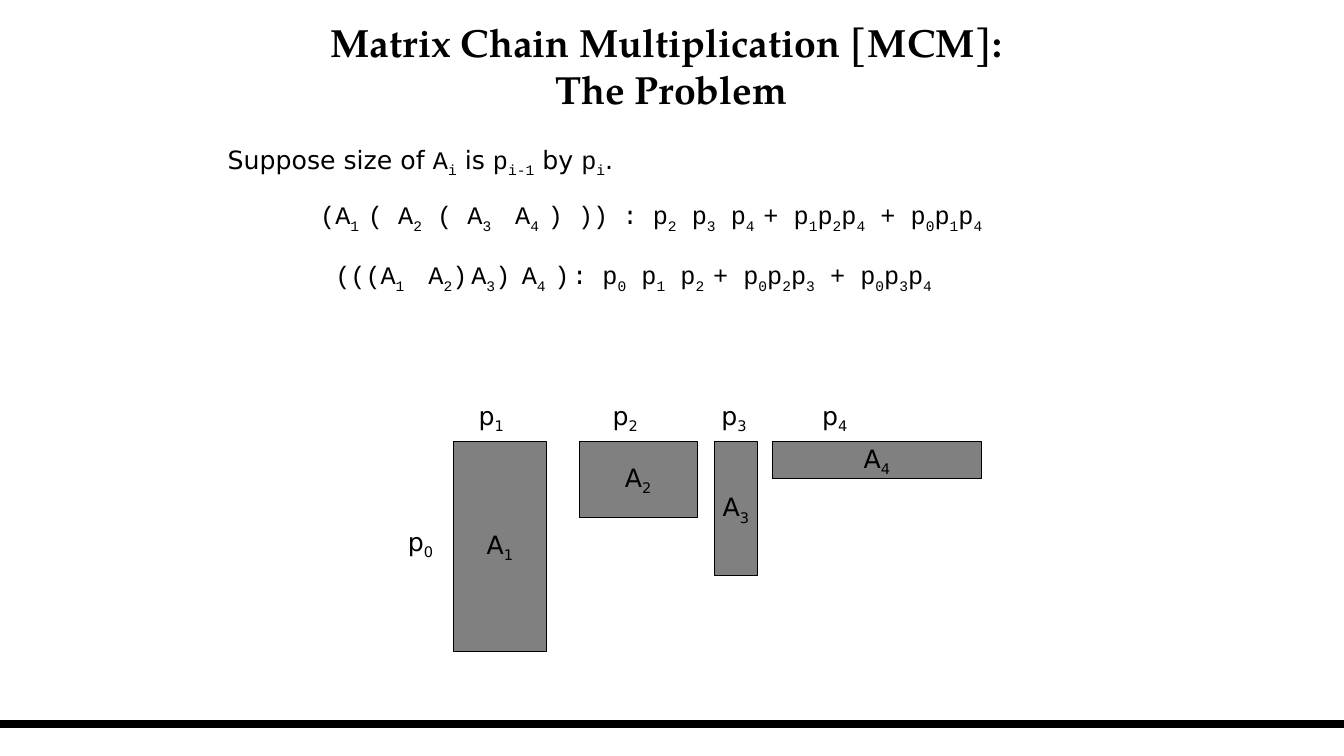
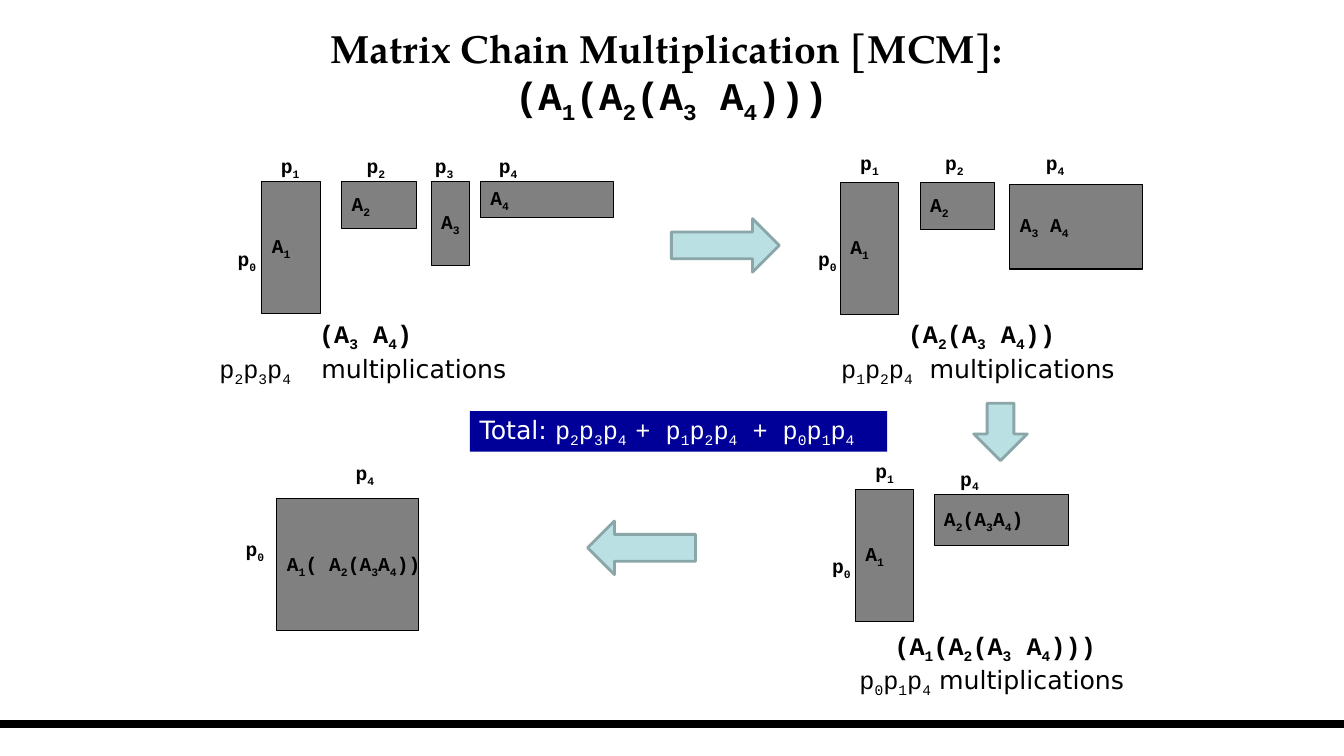
from lxml.etree import SubElement
from pptx import Presentation
from pptx.dml.color import RGBColor
from pptx.enum.shapes import MSO_CONNECTOR, MSO_SHAPE as SHAPE
from pptx.enum.text import MSO_ANCHOR as ANCHOR, MSO_AUTO_SIZE, PP_ALIGN as ALIGN
from pptx.oxml.ns import qn
from pptx.util import Cm, Pt

WIDTH, HEIGHT = 33.87, 19.05
SERIF, SANS, MONO = "TeX Gyre Pagella", "DejaVu Sans", "Courier New"
BLACK, WHITE, GRAY, NAVY = "000000", "FFFFFF", "808080", "000099"
ARROW_FILL, ARROW_LINE = "BBE0E3", "8AA6A8"
TITLE = "Matrix Chain Multiplication [MCM]: "


def rgb(value):
    return RGBColor.from_string(value)


def add_runs(p, markup, font=None):
    """Add text in which _{...} marks a subscript."""
    def add(text, sub=False):
        if text:
            r = p.add_run()
            r.text = text
            if font:
                r.font.name = font
            if sub:
                r.font.size = None
                r._r.get_or_add_rPr().set("baseline", "-25000")

    first, *rest = markup.split("_{")
    add(first)
    for part in rest:
        sub, _, text = part.partition("}")
        add(sub, sub=True)
        add(text)


def style(p, size, font, color=BLACK, bold=False, align=ALIGN.LEFT):
    p.alignment = align
    p.font.size = Pt(size)
    p.font.name = font
    p.font.bold = bold
    p.font.color.rgb = rgb(color)


def set_tabs(p, *stops):
    tabs = SubElement(p._p.get_or_add_pPr(), qn("a:tabLst"))
    for stop in stops:
        SubElement(tabs, qn("a:tab"), pos=str(Cm(stop)), algn="l")


def add_text(s, x, y, w, h, wrap=False):
    tf = s.shapes.add_textbox(Cm(x), Cm(y), Cm(w), Cm(h)).text_frame
    tf.word_wrap = wrap
    return tf


def add_box(s, kind, x, y, w, h, fill, line=None, width=0.75):
    sp = s.shapes.add_shape(kind, Cm(x), Cm(y), Cm(w), Cm(h))
    sp.shadow.inherit = False
    sp.fill.solid()
    sp.fill.fore_color.rgb = rgb(fill)
    if line:
        sp.line.color.rgb = rgb(line)
        sp.line.width = Pt(width)
    else:
        sp.line.fill.background()
    sp.text_frame.word_wrap = False
    return sp


def add_band(s, layout):
    """Draw the bottom band and hand it to the layout."""
    y = Cm(18.24)
    band = s.shapes.add_connector(MSO_CONNECTOR.STRAIGHT, 0, y, Cm(WIDTH), y)
    band.line.color.rgb = rgb(BLACK)
    band.line.width = Pt(6)
    SubElement(band.element.spPr, qn("a:effectLst"))
    layout.shapes.element.append(band.element)


def add_title(s, y, second_line, font=None):
    title = s.shapes.title
    title.left, title.top, title.width, title.height = Cm(5.49), Cm(y), Cm(22.86), Cm(1.78)
    tf = title.text_frame
    tf.auto_size = MSO_AUTO_SIZE.NONE
    tf.vertical_anchor = ANCHOR.MIDDLE
    p = tf.paragraphs[0]
    style(p, 28, SERIF, bold=True, align=ALIGN.CENTER)
    add_runs(p, TITLE)
    p.add_line_break()
    add_runs(p, second_line, font)


def add_chain(s, x, y, matrices, labels, size=14, font=MONO, bold=True, align=ALIGN.LEFT):
    """Place matrices (name, dx, dy, w, h) and labels (index, dx, dy) from x, y."""
    for name, dx, dy, w, h in matrices:
        sp = add_box(s, SHAPE.RECTANGLE, x + dx, y + dy, w, h, GRAY, BLACK)
        p = sp.text_frame.paragraphs[0]
        style(p, size, font, bold=bold, align=align)
        add_runs(p, name)
    for index, dx, dy in labels:
        p = add_text(s, x + dx, y + dy, size * 0.07, size * 0.06).paragraphs[0]
        style(p, size, font, bold=bold)
        add_runs(p, f"p_{{{index}}}")


def add_caption(s, x, y, w, product, cost, gap, tab=None):
    tf = add_text(s, x, y, w, 1.8, wrap=True)
    p = tf.paragraphs[0]
    style(p, 18, MONO, bold=True, align=ALIGN.CENTER)
    add_runs(p, product)
    p = tf.add_paragraph()
    if tab:
        set_tabs(p, tab)
    style(p, 18, MONO)
    add_runs(p, cost)
    add_runs(p, gap + "multiplications", SANS)


def add_sizes(s, x, y):
    p = add_text(s, x, y, 10.64, 1.02).paragraphs[0]
    style(p, 18, SANS)
    for text, font in (("Suppose size of ", None), ("A_{i}", MONO), (" is ", None),
                       ("p_{i-1}", MONO), (" by ", None), ("p_{i}", MONO), (".", None)):
        add_runs(p, text, font)


def add_costs(s, x, y):
    tf = add_text(s, x, y, 19.05, 2.64, wrap=True)
    rows = (
        ("(A_{1 }( A_{2} ( A_{3 } A_{4 }) ))\t: p_{2} p_{3} p_{4 }+ p_{1}p_{2}p_{4} + p_{0}p_{1}p_{4}",
         0, (8.08,)),
        ("(((A_{1 } A_{2})\tA_{3})\tA_{4 })\t: p_{0} p_{1} p_{2 }+ p_{0}p_{2}p_{3} + p_{0}p_{3}p_{4}",
         0.38, (4.47, 6.06, 8.08)),
    )
    for i, (text, indent, stops) in enumerate(rows):
        p = tf.add_paragraph() if i else tf.paragraphs[0]
        set_tabs(p, *stops)
        p._p.get_or_add_pPr().set("indent", str(Cm(indent)))
        style(p, 18, MONO)
        p.line_spacing = 1.3
        p.space_before = Pt(11)
        add_runs(p, text)


def add_total(s, x, y):
    sp = add_box(s, SHAPE.RECTANGLE, x, y, 10.52, 1.02, NAVY)
    p = sp.text_frame.paragraphs[0]
    style(p, 18, MONO, WHITE)
    add_runs(p, "Total: ", SANS)
    add_runs(p, "p_{2}p_{3}p_{4 }+ p_{1}p_{2}p_{4} + p_{0}p_{1}p_{4}")


def problem_slide(s):
    add_title(s, 0.76, "The Problem")
    add_sizes(s, 5.49, 3.5)
    add_costs(s, 7.82, 4.65)
    matrices = [("A_{1}", 0, 0, 2.34, 5.28), ("A_{2}", 3.17, 0, 2.97, 1.9),
                ("A_{3}", 6.58, 0, 1.07, 3.38), ("A_{4}", 8.03, 0, 5.28, 0.94)]
    labels = [(0, -1.4, 2.01)]
    labels += [(i, dx, -1.17) for i, dx in enumerate((0.38, 3.76, 6.5, 9.04), 1)]
    add_chain(s, 11.43, 11.13, matrices, labels, 18, SANS, False, ALIGN.CENTER)


def steps_slide(s):
    add_title(s, 0.99, " (A_{1}(A_{2}(A_{3} A_{4}))) ", MONO)
    a1 = ("A_{1}", 0, 0, 1.47, 3.33)
    a2 = ("A_{2}", 2.01, 0, 1.88, 1.19)

    add_chain(s, 6.6, 4.57,
              [a1, a2, ("A_{3}", 4.27, 0, 0.97, 2.13), ("A_{4}", 5.51, 0, 3.35, 0.91)],
              [(0, -0.86, 1.52), (1, 0.23, -0.81), (2, 2.39, -0.81),
               (3, 4.11, -0.81), (4, 5.72, -0.81)])
    add_chain(s, 21.18, 4.6,
              [a1, a2, ("A_{3} A_{4}", 4.27, 0.05, 3.35, 2.13)],
              [(0, -0.81, 1.5), (1, 0.25, -0.91), (2, 2.39, -0.91), (4, 4.93, -0.91)])
    add_chain(s, 21.56, 12.34,
              [a1, ("A_{2}(A_{3}A_{4})", 1.98, 0.13, 3.38, 1.27)],
              [(0, -0.84, 1.5), (1, 0.25, -0.91), (4, 2.39, -0.71)])
    add_chain(s, 6.98, 12.57,
              [("A_{1}( A_{2}(A_{3}A_{4}))", 0, 0, 3.58, 3.33)],
              [(0, -1.04, 0.84), (4, 1.73, -1.07)])

    add_caption(s, 5.28, 7.9, 7.87, "(A_{3} A_{4})", "p_{2}p_{3}p_{4}", "\t", 2.57)
    add_caption(s, 20.95, 7.9, 7.57, "(A_{2}(A_{3} A_{4}))", "p_{1}p_{2}p_{4}", "\t", 2.23)
    add_caption(s, 21.41, 15.75, 7.34, "(A_{1}(A_{2}(A_{3} A_{4})))", "p_{0}p_{1}p_{4}", " ")
    add_total(s, 11.84, 10.36)

    for kind, x, y, w, h in ((SHAPE.RIGHT_ARROW, 16.92, 5.51, 2.72, 1.35),
                             (SHAPE.DOWN_ARROW, 24.54, 10.16, 1.35, 1.45),
                             (SHAPE.LEFT_ARROW, 14.81, 13.13, 2.72, 1.35)):
        add_box(s, kind, x, y, w, h, ARROW_FILL, ARROW_LINE, 2)


def main():
    prs = Presentation()
    prs.slide_width, prs.slide_height = Cm(WIDTH), Cm(HEIGHT)
    layout = prs.slide_layouts[5]
    problem, steps = (prs.slides.add_slide(layout) for _ in range(2))
    add_band(problem, layout)
    problem_slide(problem)
    steps_slide(steps)
    prs.save("out.pptx")


if __name__ == "__main__":
    main()
